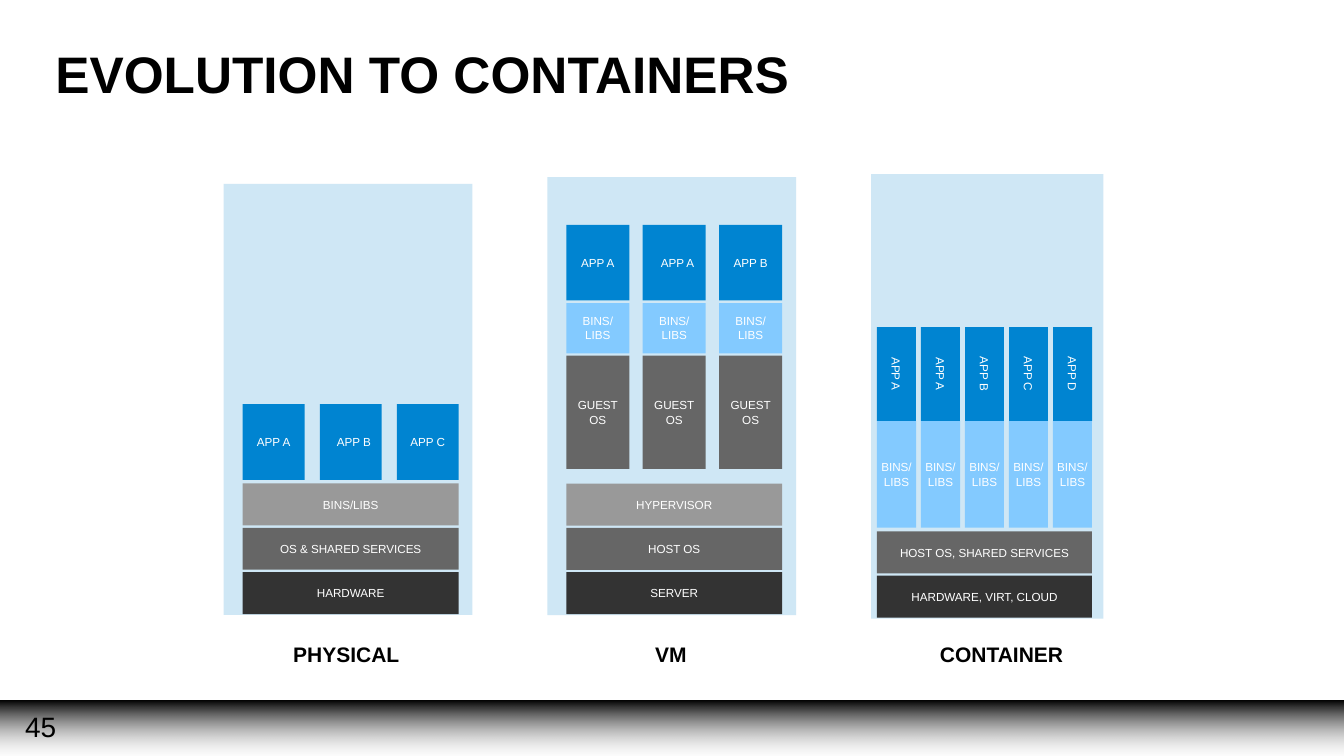
from dataclasses import dataclass

from lxml.etree import SubElement
from pptx import Presentation
from pptx.dml.color import RGBColor
from pptx.enum.shapes import MSO_SHAPE
from pptx.enum.text import MSO_ANCHOR, PP_ALIGN
from pptx.oxml.ns import qn
from pptx.util import Pt


@dataclass(frozen=True)
class Theme:
    font: str = "Arial"
    ink: str = "000000"
    paper: str = "FFFFFF"
    haze: str = "E6E6E6"
    panel: str = "CFE7F5"
    app: str = "0084D1"
    libs: str = "83CAFF"
    light: str = "999999"
    mid: str = "666666"
    dark: str = "333333"
    title_size: int = 44
    number_size: int = 24
    caption_size: int = 18
    label_size: int = 10


THEME = Theme()
BAR_HEIGHT = 36
BAR_PITCH = 38
LABEL_NUDGE = 5.56


def write(holder, text, size=THEME.label_size, color=THEME.ink, bold=False,
          align=PP_ALIGN.LEFT, anchor=MSO_ANCHOR.MIDDLE, spacing=None,
          wrap=False, inset=0, nudge=0):
    frame = holder.text_frame
    frame.text = text
    frame.word_wrap = wrap
    frame.vertical_anchor = anchor
    frame.margin_left = Pt(inset + nudge)
    frame.margin_right = frame.margin_top = frame.margin_bottom = Pt(inset)
    for paragraph in frame.paragraphs:
        paragraph.alignment = align
        paragraph.line_spacing = spacing
        paragraph.font.name = THEME.font
        paragraph.font.size = Pt(size)
        paragraph.font.bold = bold
        paragraph.font.color.rgb = RGBColor.from_string(color)


def add_block(shapes, box, color, kind=MSO_SHAPE.RECTANGLE):
    block = shapes.add_shape(kind, *map(Pt, box))
    block.shadow.inherit = False
    block.line.fill.background()
    block.fill.solid()
    block.fill.fore_color.rgb = RGBColor.from_string(color)
    return block


def set_last_opacity(block, percent):
    color = list(block._element.spPr.iter(qn("a:srgbClr")))[-1]
    SubElement(color, qn("a:alpha"), val=str(percent * 1000))


def add_row(shapes, box, labels, color, tile_width, nudged=None, turned=False):
    left, top, width, height = box
    pitch = (width - tile_width) / max(len(labels) - 1, 1)
    for index, label in enumerate(labels):
        x, y, w, h = left + index * pitch, top, tile_width, height
        if turned:
            x, y, w, h = x + (w - h) / 2, y + (h - w) / 2, h, w
        tile = add_block(shapes, (x, y, w, h), color)
        tile.rotation = 90 if turned else 0
        write(tile, label, color=THEME.paper, align=PP_ALIGN.CENTER,
              nudge=LABEL_NUDGE if index == nudged else 0)


def add_stack(slide, box, margin, inner_width, bars, rows):
    left, top, width, height = box
    shapes = slide.shapes.add_group_shape().shapes
    add_block(shapes, box, THEME.panel)
    first_bar = top + height - 0.7 - BAR_HEIGHT - BAR_PITCH * (len(bars) - 1)
    for index, (label, color) in enumerate(bars):
        bar = (left + margin, first_bar + index * BAR_PITCH, inner_width, BAR_HEIGHT)
        add_row(shapes, bar, [label], color, inner_width)
    for offset, row_height, labels, color, tile_width, options in rows:
        row = (left + margin, top + offset, inner_width, row_height)
        add_row(shapes, row, labels, color, tile_width, **options)


def add_caption(slide, box, text):
    write(slide.shapes.add_textbox(*map(Pt, box)), text, size=THEME.caption_size,
          bold=True, anchor=MSO_ANCHOR.TOP, spacing=0.93, inset=3.6)


def add_title(slide, box, text):
    title = slide.shapes.title
    title.left, title.top, title.width, title.height = map(Pt, box)
    write(title, text, size=THEME.title_size, bold=True, spacing=1.05, wrap=True)


def add_footer(slide, box, number):
    left, top, _, _ = box
    haze, fade = (add_block(slide.shapes, box, THEME.haze, MSO_SHAPE.ROUNDED_RECTANGLE)
                  for _ in range(2))
    for band in (haze, fade):
        band.adjustments[0] = 0.003
    set_last_opacity(haze, 10)
    fade.fill.gradient()
    fade.fill.gradient_angle = 270
    for stop, position, color in zip(fade.fill.gradient_stops, (0, 1),
                                     (THEME.ink, THEME.paper)):
        stop.position = position
        stop.color.rgb = RGBColor.from_string(color)
    set_last_opacity(fade, 20)
    page = slide.shapes.add_textbox(Pt(left + 21.6), Pt(top + 10), Pt(391), Pt(26.6))
    write(page, number, size=THEME.number_size, spacing=0.93, wrap=True)


def main():
    deck = Presentation()
    deck.slide_width, deck.slide_height = Pt(1152), Pt(648)
    slide = deck.slides.add_slide(deck.slide_layouts[5])
    add_footer(slide, (0, 600.4, 1152, 47.6), "45")

    add_stack(
        slide, (191.7, 157.7, 213.2, 369.4), 16.4, 185,
        [("BINS/LIBS", THEME.light), ("OS & SHARED SERVICES", THEME.mid),
         ("HARDWARE", THEME.dark)],
        [(188.8, 64.8, ["APP A", "APP B", "APP C"], THEME.app, 53, {"nudged": 1})])
    add_stack(
        slide, (469.2, 151.8, 213.2, 375.4), 16.2, 185,
        [("HYPERVISOR", THEME.light), ("HOST OS", THEME.mid), ("SERVER", THEME.dark)],
        [(41, 64.8, ["APP A", "APP A", "APP B"], THEME.app, 54, {"nudged": 1}),
         (108, 43.2, ["BINS/\nLIBS"] * 3, THEME.libs, 54, {}),
         (153, 97.2, ["GUEST\nOS"] * 3, THEME.mid, 54, {})])
    add_stack(
        slide, (746.6, 149.2, 199.2, 381), 5, 184.4,
        [("HOST OS, SHARED SERVICES", THEME.mid), ("HARDWARE, VIRT, CLOUD", THEME.dark)],
        [(131.1, 80.6, ["APP A", "APP A", "APP B", "APP C", "APP D"], THEME.app, 33.4,
          {"turned": True}),
         (211.7, 91.4, ["BINS/\nLIBS"] * 5, THEME.libs, 33.6, {})])

    for left, width, text in ((247.7, 98.6, "PHYSICAL"), (558, 34.6, "VM"),
                              (802.1, 115.2, "CONTAINER")):
        add_caption(slide, (left, 547.9, width, 28), text)
    add_title(slide, (47.5, 12.2, 985.7, 97.9), "EVOLUTION TO CONTAINERS")
    deck.save("out.pptx")


if __name__ == "__main__":
    main()
